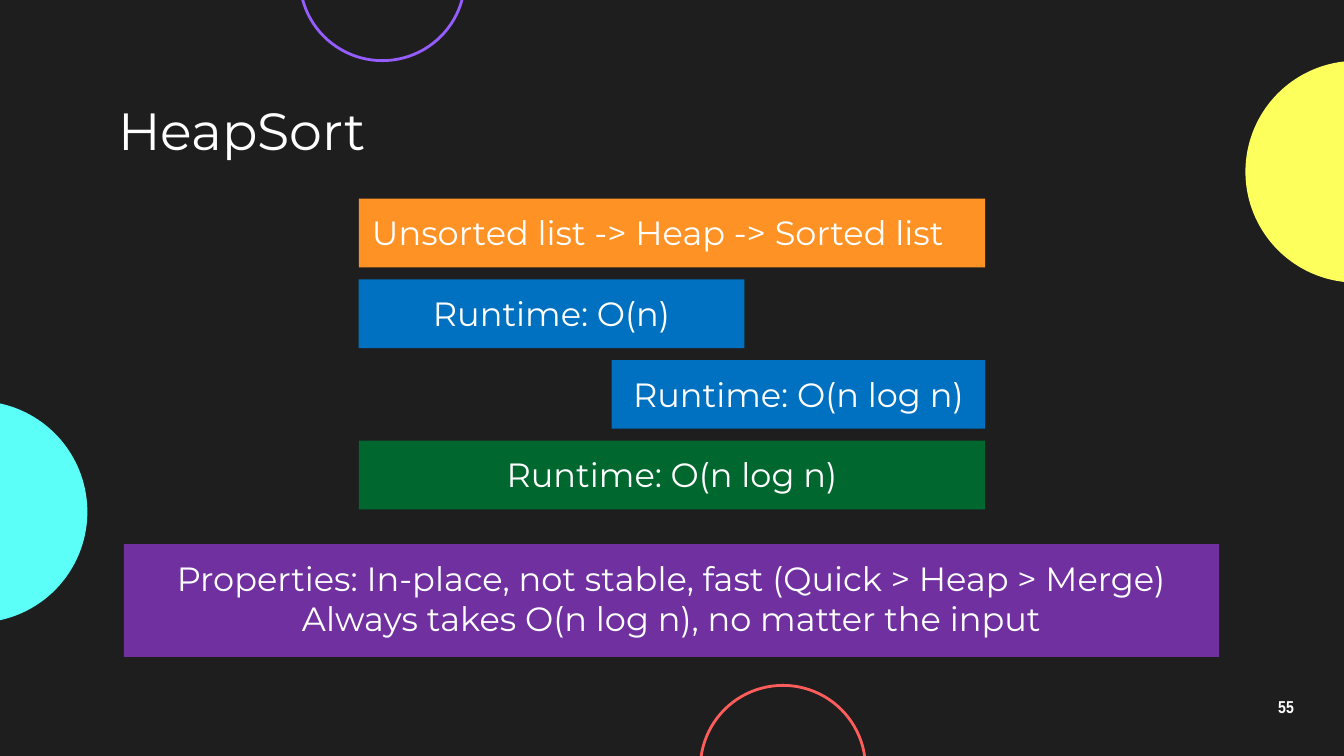
from collections import namedtuple
from dataclasses import dataclass

from pptx import Presentation
from pptx.dml.color import RGBColor
from pptx.enum.shapes import MSO_SHAPE
from pptx.enum.text import MSO_ANCHOR, PP_ALIGN
from pptx.util import Pt

OVAL, RECTANGLE = MSO_SHAPE.OVAL, MSO_SHAPE.RECTANGLE
TOP, MIDDLE = MSO_ANCHOR.TOP, MSO_ANCHOR.MIDDLE
LEFT, CENTER = PP_ALIGN.LEFT, PP_ALIGN.CENTER
TITLE_ONLY = 5

Box = namedtuple("Box", "left top width height")


@dataclass(frozen=True)
class Theme:
    background: str = "1E1E1E"
    text: str = "FFFFFF"
    cyan: str = "5CFFF8"
    yellow: str = "FDFF5C"
    violet: str = "955CFF"
    coral: str = "FF5C5C"
    orange: str = "FF9225"
    blue: str = "0070C0"
    green: str = "00682F"
    purple: str = "7030A0"
    font: str = "Montserrat"
    number_font: str = "Arial Narrow"
    title_size: float = 28
    body_size: float = 18
    number_size: float = 9.2
    inset: float = 7.2
    ring_width: float = 1.5


THEME = Theme()


def color(value):
    return RGBColor.from_string(value)


def in_points(box):
    return [Pt(value) for value in box]


def write(shape, text, size, font=THEME.font, align=CENTER, anchor=TOP,
          bold=False, spacing=1.0):
    frame = shape.text_frame
    frame.text = text
    frame.word_wrap = True
    frame.vertical_anchor = anchor
    frame.margin_left = frame.margin_right = Pt(THEME.inset)
    frame.margin_top = frame.margin_bottom = Pt(THEME.inset)
    for para in frame.paragraphs:
        para.alignment = align
        para.line_spacing = spacing
        for span in para.runs:
            span.font.name = font
            span.font.size = Pt(size)
            span.font.bold = bold
            span.font.color.rgb = color(THEME.text)


def add_filled(page, kind, box, fill):
    shape = page.shapes.add_shape(kind, *in_points(box))
    shape.shadow.inherit = False
    shape.fill.solid()
    shape.fill.fore_color.rgb = color(fill)
    shape.line.fill.background()
    return shape


def add_ring(page, box, line):
    ring = page.shapes.add_shape(OVAL, *in_points(box))
    ring.shadow.inherit = False
    ring.fill.background()
    ring.line.color.rgb = color(line)
    ring.line.width = Pt(THEME.ring_width)


def add_edge_circles(page, box):
    """Let two discs and two rings run over the edges of the box."""
    disc, ring = 118.8, 88.5
    add_filled(page, OVAL, Box(box.left - 72, box.top + 214.8, disc, disc), THEME.cyan)
    add_filled(page, OVAL, Box(box.left + 667.2, box.top + 32.6, disc, disc), THEME.yellow)
    add_ring(page, Box(box.left + 160.6, box.top - 56, ring, ring), THEME.violet)
    add_ring(page, Box(box.left + 375.2, box.top + 367.2, ring, ring), THEME.coral)


def add_page_number(page, box, number):
    label = page.shapes.add_textbox(*in_points(box))
    write(label, number, THEME.number_size, THEME.number_font,
          anchor=MIDDLE, bold=True, spacing=0.9)


def place_title(page, box, text):
    title = page.shapes.title
    title.left, title.top, title.width, title.height = in_points(box)
    write(title, text, THEME.title_size, align=LEFT, anchor=MIDDLE)


def add_bar(page, box, text, fill, align=CENTER):
    bar = add_filled(page, RECTANGLE, box, fill)
    write(bar, text, THEME.body_size, align=align)


def add_runtime_bars(page, box):
    """Stack the phases at an even pitch, each bar spanning its own phases."""
    pitch, height = 43.2, 36.8
    heapify_width, extract_width = 206.6, 200.2
    bars = [
        ("Unsorted list -> Heap -> Sorted list", THEME.orange, 0, box.width, LEFT),
        ("Runtime: O(n)", THEME.blue, 0, heapify_width, CENTER),
        ("Runtime: O(n log n)", THEME.blue, box.width - extract_width,
         extract_width, CENTER),
        ("Runtime: O(n log n)", THEME.green, 0, box.width, CENTER),
    ]
    for row, (text, fill, offset, width, align) in enumerate(bars):
        place = Box(box.left + offset, box.top + row * pitch, width, height)
        add_bar(page, place, text, fill, align)


def main():
    deck = Presentation()
    deck.slide_width, deck.slide_height = Pt(720), Pt(405)
    page = deck.slides.add_slide(deck.slide_layouts[TITLE_ONLY])
    page.background.fill.solid()
    page.background.fill.fore_color.rgb = color(THEME.background)

    add_edge_circles(page, Box(0, 0, 720, 405))
    add_page_number(page, Box(667.4, 367, 43.2, 24.5), "55")
    place_title(page, Box(56.2, 51.1, 607.6, 36.8), "HeapSort")
    add_runtime_bars(page, Box(192.2, 106.5, 335.6, 166.4))
    add_bar(page, Box(66.3, 291.5, 586.8, 60.5),
            "Properties: In-place, not stable, fast (Quick > Heap > Merge)\n"
            "Always takes O(n log n), no matter the input", THEME.purple)
    deck.save("out.pptx")


if __name__ == "__main__":
    main()
